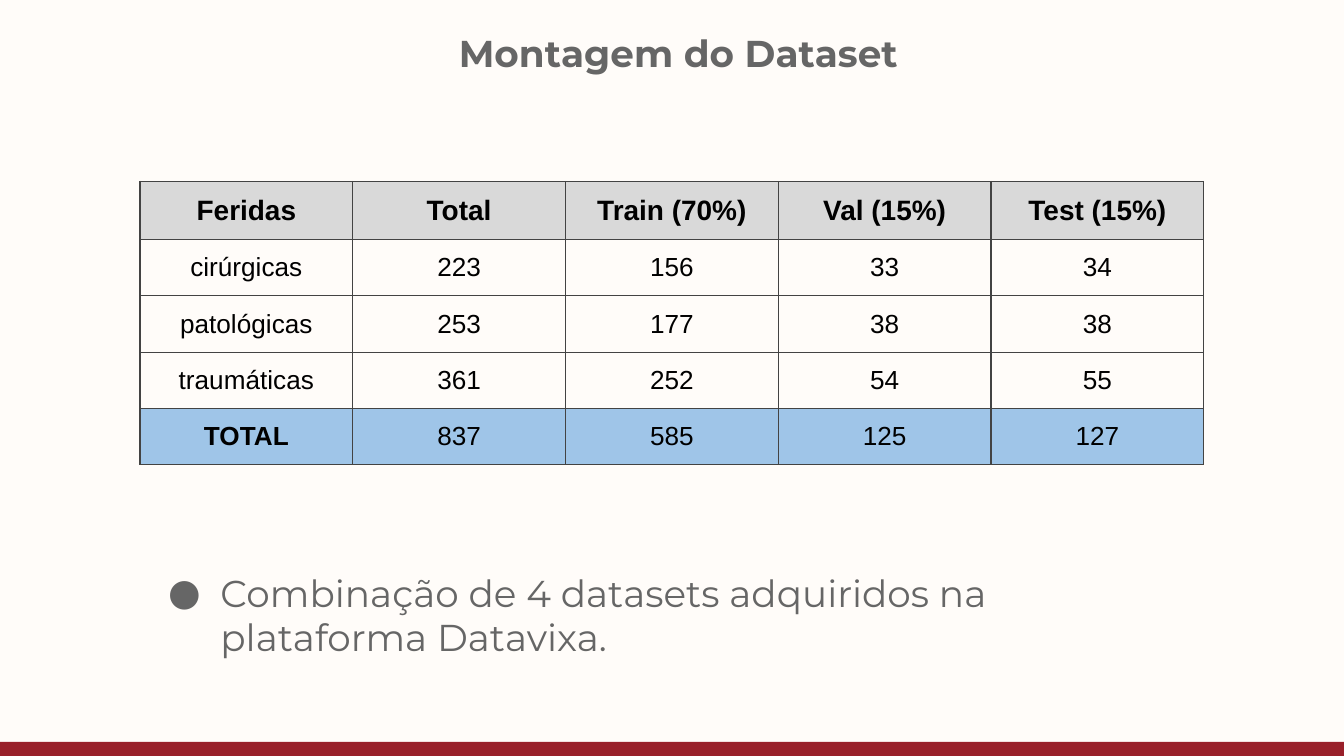
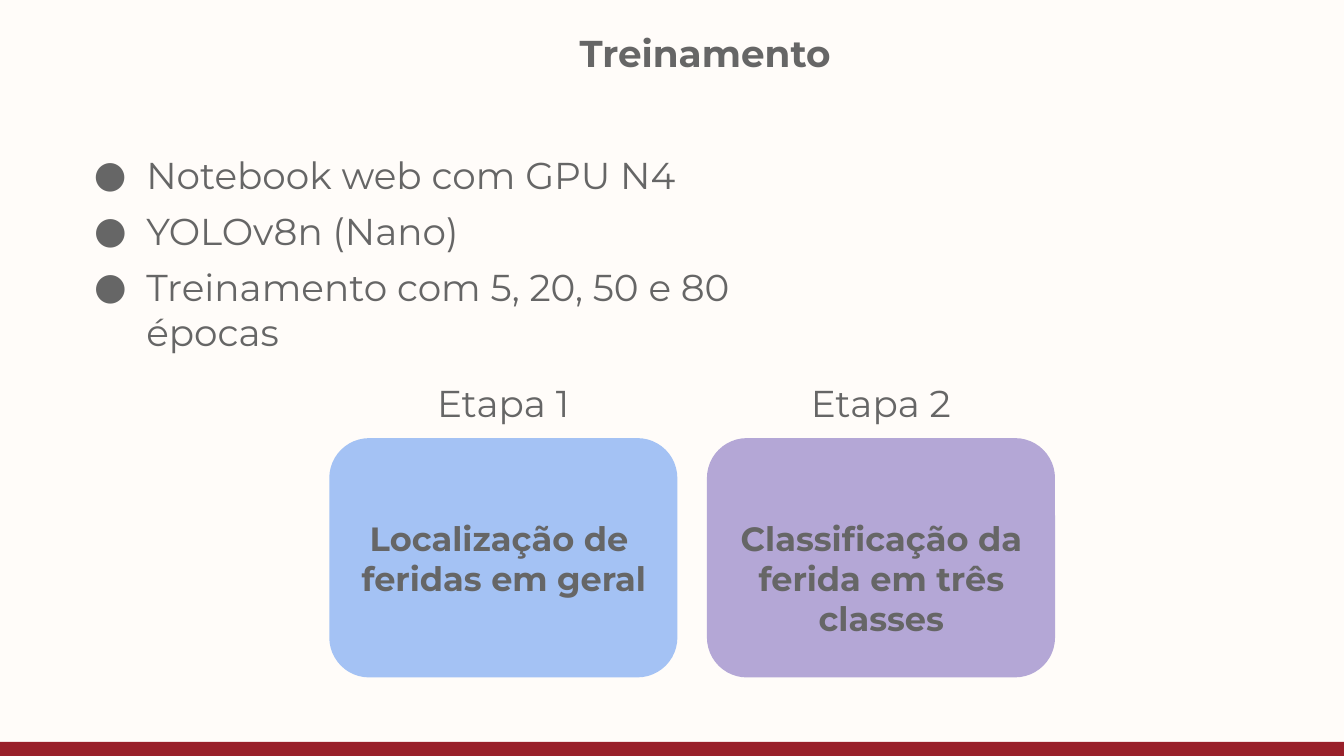
"""Build two slides on assembling a wound dataset and training on it."""
from dataclasses import dataclass

from lxml.etree import SubElement
from pptx import Presentation
from pptx.dml.color import RGBColor
from pptx.enum.shapes import MSO_SHAPE
from pptx.enum.text import MSO_ANCHOR, MSO_AUTO_SIZE, PP_ALIGN
from pptx.oxml.ns import qn
from pptx.util import Pt


@dataclass(frozen=True)
class Theme:
    paper: str = "FFFCF9"
    band: str = "99202A"
    ink: str = "666666"
    cell_ink: str = "000000"
    border: str = "434343"
    header: str = "D9D9D9"
    total: str = "9FC5E8"
    locate: str = "A4C2F4"
    classify: str = "B4A7D6"
    display_font: str = "Montserrat"
    table_font: str = "Arial"
    body_size: int = 20
    step_size: int = 18
    header_size: int = 15
    cell_size: int = 14
    title_inset: float = 8
    inset: float = 7.2
    bullet_margin: float = 36
    bullet_hang: float = 28


def assign(target, values):
    for name, value in values.items():
        setattr(target, name, value)


class Deck:
    def __init__(self, theme):
        self.theme = theme
        self.presentation = Presentation()
        assign(self.presentation, {"slide_width": Pt(720), "slide_height": Pt(405)})
        self.slide = None
        self.paint(self.presentation.slide_master.background, theme.paper)

    def paint(self, owner, color):
        owner.fill.solid()
        owner.fill.fore_color.rgb = RGBColor.from_string(color)

    def start(self, heading, left):
        layout = self.presentation.slide_layouts.get_by_name("Title Only")
        first = self.slide is None
        self.slide = self.presentation.slides.add_slide(layout)
        if first:
            band = self.block(MSO_SHAPE.RECTANGLE, (0, 397.5, 720, 7.5), self.theme.band)
            self.presentation.slide_master.shapes.element.append(band.element)
        title = self.slide.shapes.title
        box = dict(zip(("left", "top", "width", "height"), map(Pt, (left, 8, 276, 45.4))))
        assign(title, box)
        self.lay_text(title.text_frame, heading, bold=True, inset=self.theme.title_inset)

    def lay_text(self, frame, wording, size=None, bold=False, align=PP_ALIGN.CENTER,
                 inset=None, bulleted=False, fit=MSO_AUTO_SIZE.NONE):
        margin = Pt(inset or self.theme.inset)
        assign(frame, {"word_wrap": True, "auto_size": fit, "vertical_anchor": MSO_ANCHOR.TOP,
                       "margin_left": margin, "margin_right": margin,
                       "margin_top": margin, "margin_bottom": margin})
        for index, line in enumerate(wording.split("\n")):
            paragraph = frame.add_paragraph() if index else frame.paragraphs[0]
            paragraph.alignment = align
            if bulleted:
                self.bullet(paragraph)
            self.add_words(paragraph, line, self.theme.display_font,
                           size or self.theme.body_size, bold, self.theme.ink)

    def add_words(self, paragraph, wording, face, size, bold, color):
        words = paragraph.add_run()
        words.text = wording
        assign(words.font, {"name": face, "size": Pt(size), "bold": bold})
        words.font.color.rgb = RGBColor.from_string(color)

    def bullet(self, paragraph):
        properties = paragraph._p.get_or_add_pPr()
        properties.set("marL", str(Pt(self.theme.bullet_margin)))
        properties.set("indent", str(-Pt(self.theme.bullet_hang)))
        tint = SubElement(properties, qn("a:buClr"))
        SubElement(tint, qn("a:srgbClr"), val=self.theme.ink)
        SubElement(properties, qn("a:buFont"), typeface=self.theme.display_font)
        SubElement(properties, qn("a:buChar"), char="●")

    def text(self, box, wording, **style):
        frame = self.slide.shapes.add_textbox(*map(Pt, box)).text_frame
        self.lay_text(frame, wording, fit=MSO_AUTO_SIZE.SHAPE_TO_FIT_TEXT, **style)

    def point(self, box, wording):
        self.text(box, wording, align=PP_ALIGN.LEFT, bulleted=True)

    def block(self, outline, box, color):
        block = self.slide.shapes.add_shape(outline, *map(Pt, box))
        block.shadow.inherit = False
        block.line.fill.background()
        self.paint(block, color)
        return block

    def table(self, box, rows):
        left, top, column_width, row_height = box
        size = (column_width * len(rows[0]), row_height * len(rows))
        grid = self.slide.shapes.add_table(
            len(rows), len(rows[0]), *map(Pt, (left, top, *size))).table
        assign(grid, {"first_row": False, "horz_banding": False})
        for column in grid.columns:
            column.width = Pt(column_width)
        fills = {0: self.theme.header, len(rows) - 1: self.theme.total}
        for r, values in enumerate(rows):
            grid.rows[r].height = Pt(row_height)
            for c, value in enumerate(values):
                heading = r == 0
                bold = heading or (c == 0 and r in fills)
                size = self.theme.header_size if heading else self.theme.cell_size
                self.cell(grid.cell(r, c), value, size, bold, fills.get(r))

    def cell(self, cell, value, size, bold, color):
        margin = Pt(self.theme.inset)
        assign(cell, {"margin_left": margin, "margin_right": margin,
                      "margin_top": margin, "margin_bottom": margin})
        paragraph = cell.text_frame.paragraphs[0]
        paragraph.alignment = PP_ALIGN.CENTER
        self.add_words(paragraph, value, self.theme.table_font, size, bold,
                       self.theme.cell_ink)
        properties = cell._tc.get_or_add_tcPr()
        for side in ("lnL", "lnR", "lnT", "lnB"):
            edge = SubElement(properties, qn(f"a:{side}"), w=str(Pt(0.75)))
            ink = SubElement(edge, qn("a:solidFill"))
            SubElement(ink, qn("a:srgbClr"), val=self.theme.border)
        if color:
            self.paint(cell, color)
        else:
            cell.fill.background()

    def stage(self, left, label, wording, color):
        card = self.block(MSO_SHAPE.ROUNDED_RECTANGLE, (left, 234.7, 186.5, 128.2), color)
        card.adjustments[0] = 0.167
        self.text((left + 44.6, 196.6, 97.2, 38.9), label)
        self.text((left + 7.5, 270, 172, 58.3), wording,
                  size=self.theme.step_size, bold=True)


def main():
    theme = Theme()
    deck = Deck(theme)

    deck.start("Montagem do Dataset", 225.4)
    deck.table((75, 97.2, 114, 30.2), [
        ("Feridas", "Total", "Train (70%)", "Val (15%)", "Test (15%)"),
        ("cirúrgicas", "223", "156", "33", "34"),
        ("patológicas", "253", "177", "38", "38"),
        ("traumáticas", "361", "252", "54", "55"),
        ("TOTAL", "837", "585", "125", "127"),
    ])
    deck.point((75, 298, 570, 63.4),
               "Combinação de 4 datasets adquiridos na plataforma Datavixa.")

    deck.start("Treinamento", 239.8)
    setup = [
        ("Notebook web com GPU N4", 388.8),
        ("YOLOv8n (Nano)", 311),
        ("Treinamento com 5, 20, 50 e 80 épocas", 431.3),
    ]
    for index, (wording, width) in enumerate(setup):
        deck.point((35.3, 74.2 + 30 * index, width, 38.9), wording)
    stages = [
        ("Localização de \nferidas em geral", theme.locate),
        ("Classificação da ferida em três classes", theme.classify),
    ]
    for index, (wording, color) in enumerate(stages):
        deck.stage(176.4 + 202.3 * index, f"Etapa {index + 1}", wording, color)

    deck.presentation.save("out.pptx")


if __name__ == "__main__":
    main()
